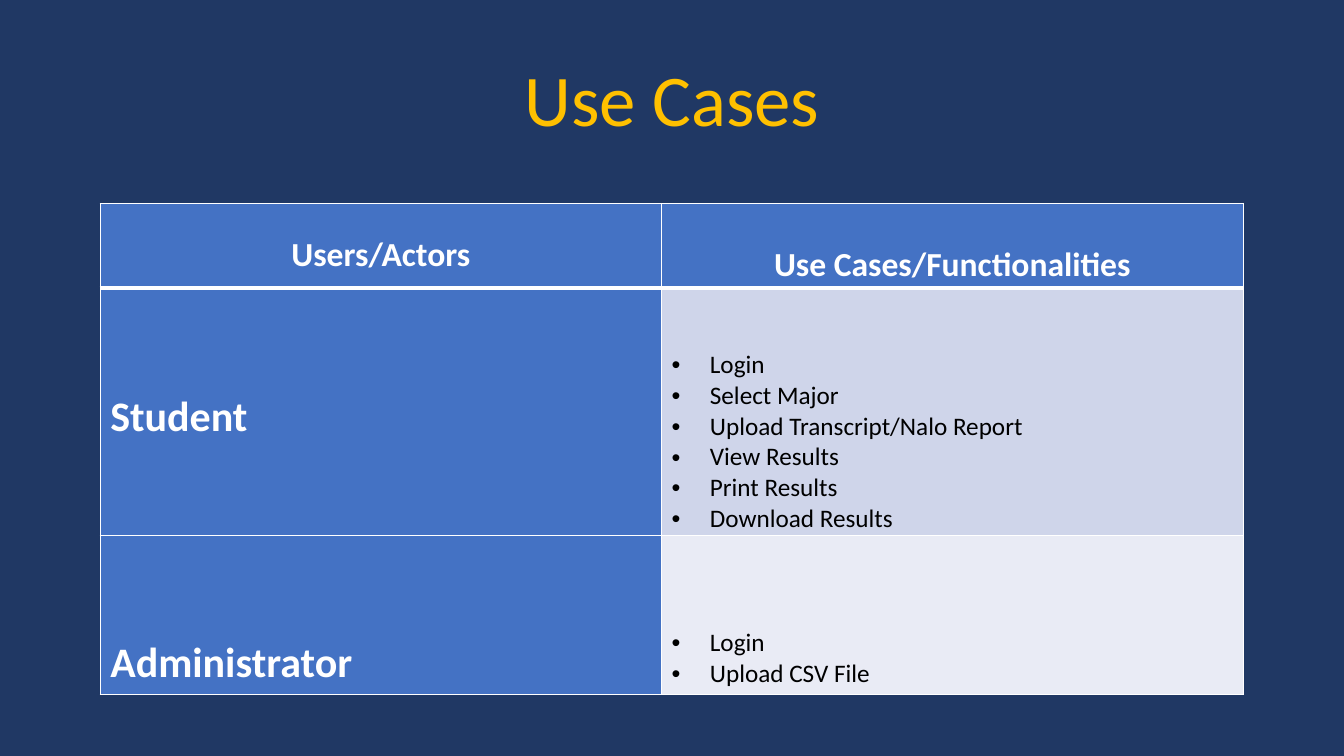
from lxml import etree
from pptx import Presentation
from pptx import util as u
from pptx.dml import color
from pptx.enum import text
from pptx.oxml import ns

COLORS = {
    "navy": "203864", "gold": "FFC000", "blue": "4472C4", "white": "FFFFFF",
    "black": "000000", "band": "CFD5EA", "pale": "E9EBF5",
}
LEFT, CENTER = text.PP_ALIGN.LEFT, text.PP_ALIGN.CENTER


class Deck:
    """Holds the style and the current slide; lengths are percent of the slide."""
    font = "Calibri"
    bullet_indent = u.Inches(0.38)

    def __init__(self, width, height):
        self.prs = Presentation()
        self.prs.slide_width, self.prs.slide_height = u.Inches(width), u.Inches(height)
        self.slide = None

    def x(self, percent):
        return round(self.prs.slide_width * percent / 100)

    def y(self, percent):
        return round(self.prs.slide_height * percent / 100)

    def rgb(self, name):
        return color.RGBColor.from_string(COLORS[name])

    def add_slide(self, background):
        self.slide = self.prs.slides.add_slide(self.prs.slide_layouts[5])
        fill = self.slide.background.fill
        fill.solid()
        fill.fore_color.rgb = self.rgb(background)

    def style(self, paragraph, size, ink, bold=False, align=LEFT):
        paragraph.alignment = align
        for run in paragraph.runs:
            run.font.name, run.font.size, run.font.bold = self.font, u.Pt(size), bold
            run.font.color.rgb = self.rgb(ink)

    def title(self, wording, left, top, width, height):
        title = self.slide.shapes.title
        title.left, title.top = self.x(left), self.y(top)
        title.width, title.height = self.x(width), self.y(height)
        frame = title.text_frame
        frame.text = wording
        frame.vertical_anchor = text.MSO_ANCHOR.MIDDLE
        frame.paragraphs[0].line_spacing = 0.9
        self.style(frame.paragraphs[0], 52, "gold", align=CENTER)

    def table(self, left, top, columns, rows):
        grid = self.slide.shapes.add_table(
            len(rows), len(columns), self.x(left), self.y(top),
            self.x(sum(columns)), self.y(sum(rows))).table
        for column, width in zip(grid.columns, columns):
            column.width = self.x(width)
        for row, height in zip(grid.rows, rows):
            row.height = self.y(height)
        return grid

    def cell(self, cell, lines, fill, gap, size, ink="white", bold=True,
             align=LEFT, bullets=False, borders=None):
        """Fill one cell; gap is the space above its text in inches."""
        self.borders(cell, borders or {})
        cell.fill.solid()
        cell.fill.fore_color.rgb = self.rgb(fill)
        cell.margin_left = cell.margin_right = u.Inches(0.1)
        cell.margin_top, cell.margin_bottom = u.Inches(gap), 0
        cell.text_frame.text = "\n".join(lines)
        for paragraph in cell.text_frame.paragraphs:
            self.style(paragraph, size, ink, bold, align)
            if bullets:
                self.bullet(paragraph)

    def borders(self, cell, widths):
        properties = cell._tc.get_or_add_tcPr()
        for side in "LRTB":
            line = etree.SubElement(properties, ns.qn(f"a:ln{side}"),
                                    w=str(u.Pt(widths.get(side, 1))))
            solid = etree.SubElement(line, ns.qn("a:solidFill"))
            etree.SubElement(solid, ns.qn("a:srgbClr"), val=COLORS["white"])

    def bullet(self, paragraph):
        properties = paragraph._p.get_or_add_pPr()
        properties.set("marL", str(self.bullet_indent))
        properties.set("indent", str(-self.bullet_indent))
        etree.SubElement(properties, ns.qn("a:buFont"), typeface="Arial")
        etree.SubElement(properties, ns.qn("a:buChar"), char="•")


def main():
    deck = Deck(13.33, 7.5)
    deck.add_slide("navy")
    deck.title("Use Cases", 6.9, 2.67, 86.2, 22)

    # Header row, with a heavy rule below it
    use_cases = deck.table(7.46, 26.93, [41.76, 43.29], [11.2, 32.67, 21.07])
    headings = [("Users/Actors", 0.31), ("Use Cases/Functionalities", 0.41)]
    for column, (heading, gap) in enumerate(headings):
        deck.cell(use_cases.cell(0, column), [heading], "blue", gap, 24,
                  align=CENTER, borders={"B": 3})

    # One row per actor
    actors = [
        ("Student", "band", 0.61, {"T": 3},
         ["Login", "Select Major", "Upload Transcript/Nalo Report",
          "View Results", "Print Results", "Download Results"]),
        ("Administrator", "pale", 0.92, {}, ["Login", "Upload CSV File"]),
    ]
    for row, (actor, band, gap, borders, functions) in enumerate(actors, 1):
        deck.cell(use_cases.cell(row, 0), [actor], "blue", 1.02, 30, borders=borders)
        deck.cell(use_cases.cell(row, 1), functions, band, gap, 18, "black",
                  bold=False, bullets=True, borders=borders)

    deck.prs.save("out.pptx")


if __name__ == "__main__":
    main()
